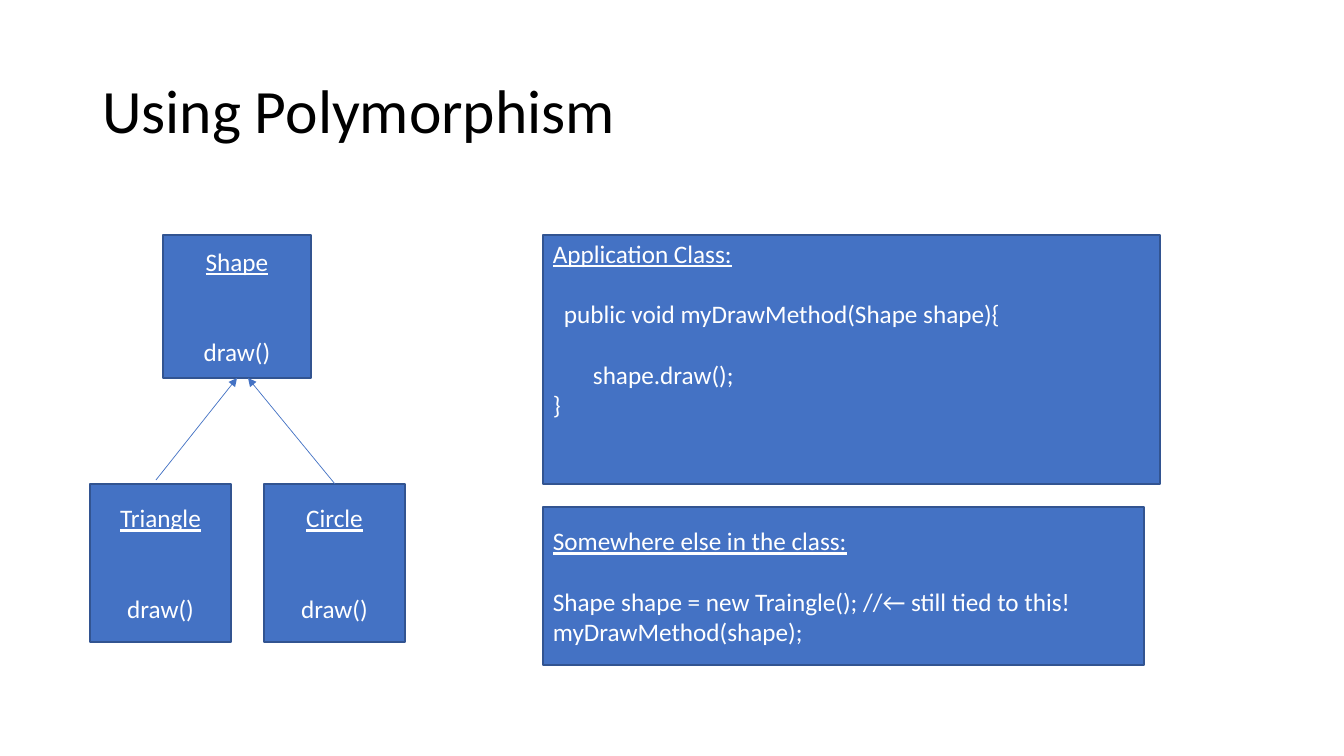
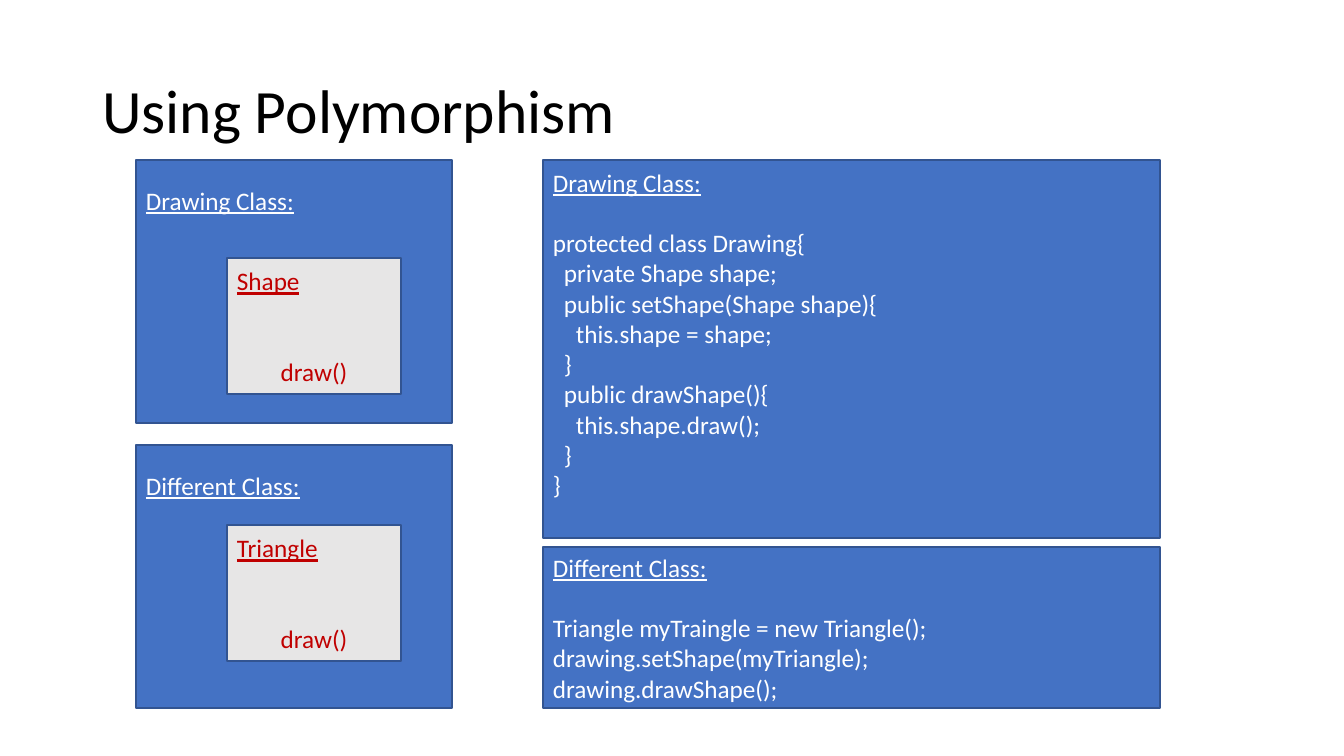
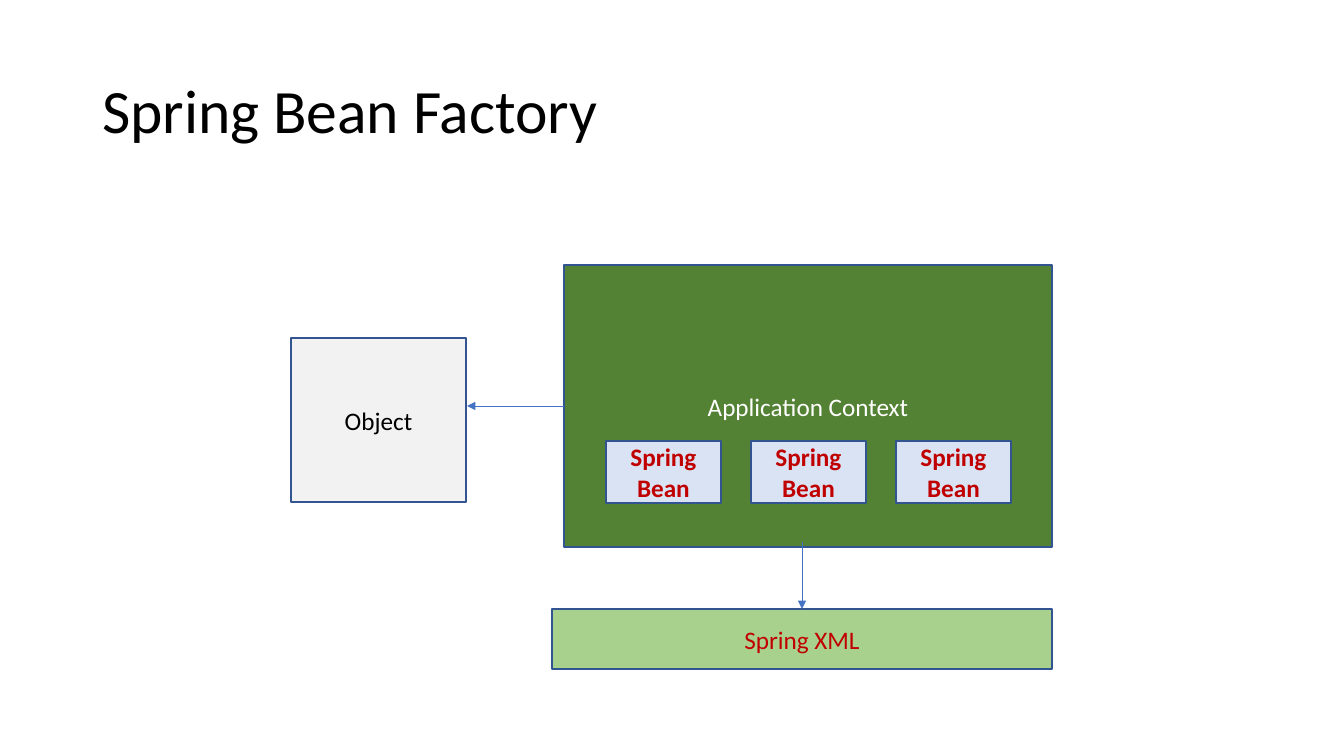
"""Build three slides on polymorphism and the bean factory."""
from dataclasses import dataclass
from typing import Any, Optional

from lxml.etree import SubElement
from pptx import Presentation
from pptx.dml.color import RGBColor
from pptx.enum.shapes import MSO_CONNECTOR, MSO_SHAPE
from pptx.enum.text import MSO_ANCHOR, MSO_AUTO_SIZE, PP_ALIGN
from pptx.oxml.ns import qn
from pptx.util import Emu, Pt

EMU_PER_PX = 914400 / 100.8
SLIDE_SIZE = (1344, 756)
TITLE_FRAME = (92, 41, 1159, 146)
COLOURS = {
    "black": "000000",
    "white": "FFFFFF",
    "blue": "4472C4",
    "outline": "325491",
    "red": "C00000",
    "silver": "E7E6E6",
    "pale_grey": "F2F2F2",
    "green": "548235",
    "light_green": "A9D18E",
    "pale_blue": "DAE3F3",
}
TITLE_FONT = {"name": "Calibri", "size": Pt(44), "bold": False}
BODY_FONT = {"name": "Calibri", "size": Pt(18)}
TITLE_TEXT = {
    "vertical_anchor": MSO_ANCHOR.MIDDLE,
    "word_wrap": True,
    "auto_size": MSO_AUTO_SIZE.NONE,
}
TITLE_PARA = {"alignment": PP_ALIGN.LEFT, "line_spacing": 0.9}
BLANK_LINE = 21.6
LEFT, CENTRE = PP_ALIGN.LEFT, PP_ALIGN.CENTER


@dataclass(frozen=True)
class Line:
    """One paragraph; gap counts line heights above it, indent is in px."""

    text: str
    gap: int = 0
    indent: int = 0
    underline: bool = False
    bold: bool = False
    align: PP_ALIGN = LEFT


@dataclass(frozen=True)
class Box:
    """A filled rectangle; top_inset pins its text to the top."""

    frame: tuple[int, int, int, int]
    lines: list[Line]
    fill: str = "blue"
    ink: str = "white"
    top_inset: Optional[int] = None


@dataclass(frozen=True)
class Arrow:
    """A straight arrow between two points."""

    start: tuple[int, int]
    end: tuple[int, int]


@dataclass(frozen=True)
class Page:
    """A titled slide with its boxes and arrows."""

    title: str
    boxes: list[Box]
    arrows: list[Arrow]


def px(length: int) -> Emu:
    """Turn px into EMU."""
    return Emu(round(length * EMU_PER_PX))


def colour(name: str) -> RGBColor:
    """Look up a named colour."""
    return RGBColor.from_string(COLOURS[name])


def apply(target: Any, values: dict[str, Any]) -> None:
    """Set each attribute in values on target."""
    for name, value in values.items():
        setattr(target, name, value)


def heading(text: str, align: PP_ALIGN = LEFT) -> Line:
    """Make an underlined heading line."""
    return Line(text, underline=True, align=align)


def label(text: str, bold: bool = False) -> list[Line]:
    """Make a single centred line."""
    return [Line(text, bold=bold, align=CENTRE)]


def class_lines(name: str, align: PP_ALIGN = CENTRE) -> list[Line]:
    """Make a class name with its draw method below."""
    return [heading(name, align), Line("draw()", gap=2, align=CENTRE)]


def add_title(page: Any, text: str) -> None:
    """Fill, move and format the title placeholder."""
    title = page.shapes.title
    apply(title, dict(zip(("left", "top", "width", "height"), map(px, TITLE_FRAME))))
    title.text = text
    apply(title.text_frame, TITLE_TEXT)
    para = title.text_frame.paragraphs[0]
    apply(para, TITLE_PARA)
    font = para.runs[0].font
    apply(font, TITLE_FONT)
    font.color.rgb = colour("black")


def add_line(para: Any, line: Line, ink: str) -> None:
    """Write one line into a paragraph."""
    apply(para, {"alignment": line.align, "space_before": Pt(line.gap * BLANK_LINE)})
    if line.indent:
        properties = para._p.get_or_add_pPr()
        properties.set("marL", str(px(line.indent)))
        properties.set("indent", "0")
    span = para.add_run()
    span.text = line.text
    apply(span.font, BODY_FONT | {"underline": line.underline, "bold": line.bold})
    span.font.color.rgb = colour(ink)


def add_box(page: Any, box: Box) -> None:
    """Draw a rectangle with its text."""
    shape = page.shapes.add_shape(MSO_SHAPE.RECTANGLE, *map(px, box.frame))
    shape.shadow.inherit = False
    shape.fill.solid()
    shape.fill.fore_color.rgb = colour(box.fill)
    shape.line.color.rgb = colour("outline")
    shape.line.width = Pt(1)
    text = shape.text_frame
    apply(text, {"word_wrap": True, "vertical_anchor": MSO_ANCHOR.MIDDLE})
    if box.top_inset is not None:
        apply(text, {"vertical_anchor": MSO_ANCHOR.TOP, "margin_top": px(box.top_inset)})
    for index, line in enumerate(box.lines):
        para = text.add_paragraph() if index else text.paragraphs[0]
        add_line(para, line, box.ink)


def add_arrow(page: Any, arrow: Arrow) -> None:
    """Draw a thin arrow with a triangular head."""
    connector = page.shapes.add_connector(
        MSO_CONNECTOR.STRAIGHT, *map(px, arrow.start + arrow.end)
    )
    connector.line.color.rgb = colour("blue")
    connector.line.width = Pt(0.5)
    properties = connector.element.spPr
    SubElement(properties.find(qn("a:ln")), qn("a:tailEnd"), type="triangle")
    SubElement(properties, qn("a:effectLst"))


def inheritance_page() -> Page:
    """Describe the class tree and the method using it."""
    application = [
        heading("Application Class:"),
        Line("public void myDrawMethod(Shape shape){", gap=1, indent=11),
        Line("shape.draw();", gap=1, indent=40),
        Line("}"),
    ]
    elsewhere = [
        heading("Somewhere else in the class:"),
        Line("Shape shape = new Traingle(); //← still tied to this!", gap=1),
        Line("myDrawMethod(shape);"),
    ]
    children = [
        Box((left, 484, 141, 158), class_lines(name))
        for left, name in ((90, "Triangle"), (264, "Circle"))
    ]
    return Page(
        "Using Polymorphism",
        [
            Box((163, 235, 148, 143), class_lines("Shape")),
            *children,
            Box((543, 235, 617, 249), application, top_inset=3),
            Box((543, 507, 601, 158), elsewhere),
        ],
        [Arrow((335, 484), (248, 378)), Arrow((156, 480), (237, 378))],
    )


def injection_page() -> Page:
    """Describe the drawing class and the class feeding it."""
    drawing = [
        heading("Drawing Class:"),
        Line("protected class Drawing{", gap=1),
        Line("private Shape shape;", indent=11),
        Line("public setShape(Shape shape){", indent=11),
        Line("this.shape = shape;", indent=23),
        Line("}", indent=11),
        Line("public drawShape(){", indent=11),
        Line("this.shape.draw();", indent=23),
        Line("}", indent=11),
        Line("}"),
    ]
    different = [
        heading("Different Class:"),
        Line("Triangle myTraingle = new Triangle();", gap=1),
        Line("drawing.setShape(myTriangle);"),
        Line("drawing.drawShape();"),
    ]
    boxes = [
        Box((543, 160, 617, 378), drawing, top_inset=7),
        Box((543, 547, 617, 161), different),
    ]
    for outer_top, outer, inner_top, inner in (
        (160, "Drawing Class:", 258, "Shape"),
        (445, "Different Class:", 525, "Triangle"),
    ):
        boxes += [
            Box((136, outer_top, 316, 263), [heading(outer)], top_inset=25),
            Box((227, inner_top, 174, 136), class_lines(inner, LEFT), "silver", "red"),
        ]
    return Page("Using Polymorphism", boxes, [])


def factory_page() -> Page:
    """Describe the application context and its beans."""
    beans = [
        Box((606 + 145 * index, 441, 115, 62), label("Spring Bean", True), "pale_blue", "red")
        for index in range(3)
    ]
    return Page(
        "Spring Bean Factory",
        [
            Box((291, 338, 175, 164), label("Object"), "pale_grey", "black"),
            Box((564, 265, 488, 282), label("Application Context"), "green"),
            Box((552, 609, 500, 60), label("Spring XML"), "light_green", "red"),
            *beans,
        ],
        [Arrow((802, 542), (802, 609)), Arrow((564, 406), (467, 406))],
    )


def main() -> None:
    """Build and save the deck."""
    deck = Presentation()
    deck.slide_width, deck.slide_height = map(px, SLIDE_SIZE)
    for content in (inheritance_page(), injection_page(), factory_page()):
        page = deck.slides.add_slide(deck.slide_layouts.get_by_name("Title Only"))
        add_title(page, content.title)
        for box in content.boxes:
            add_box(page, box)
        for arrow in content.arrows:
            add_arrow(page, arrow)
    deck.save("out.pptx")


if __name__ == "__main__":
    main()
